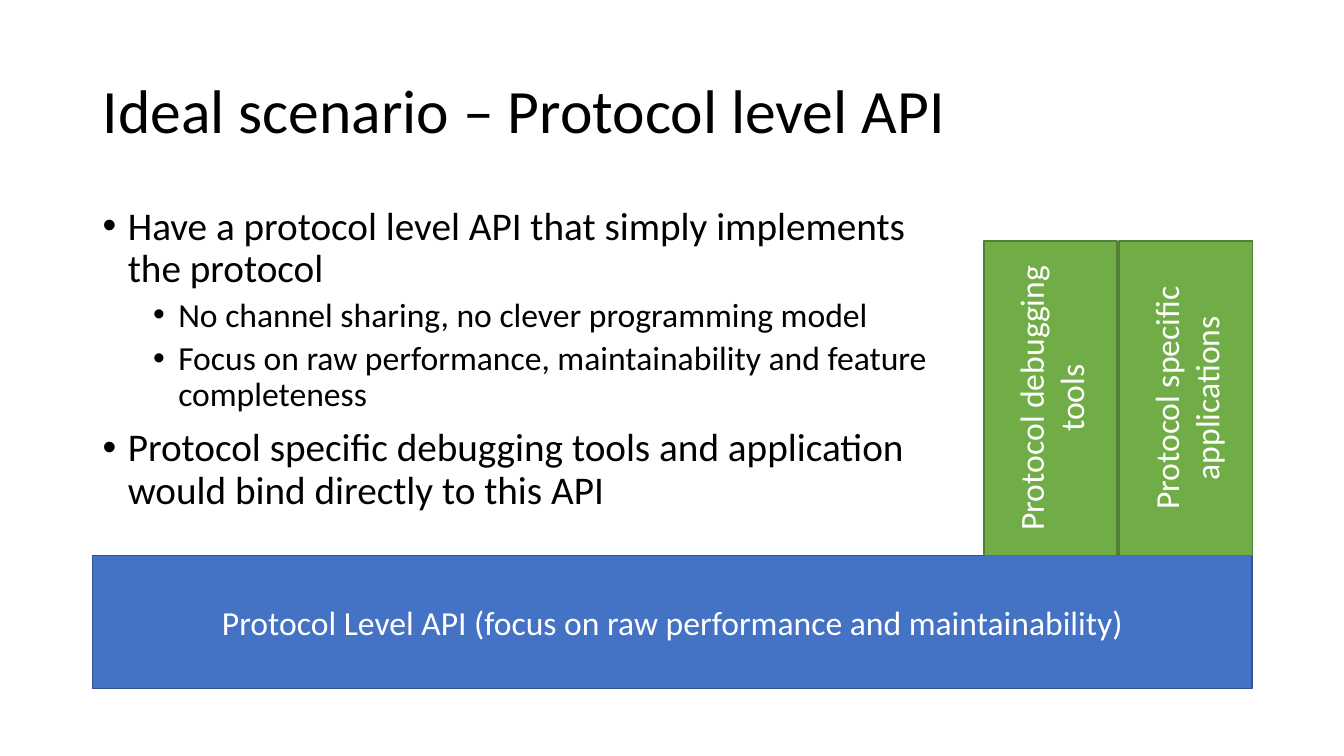
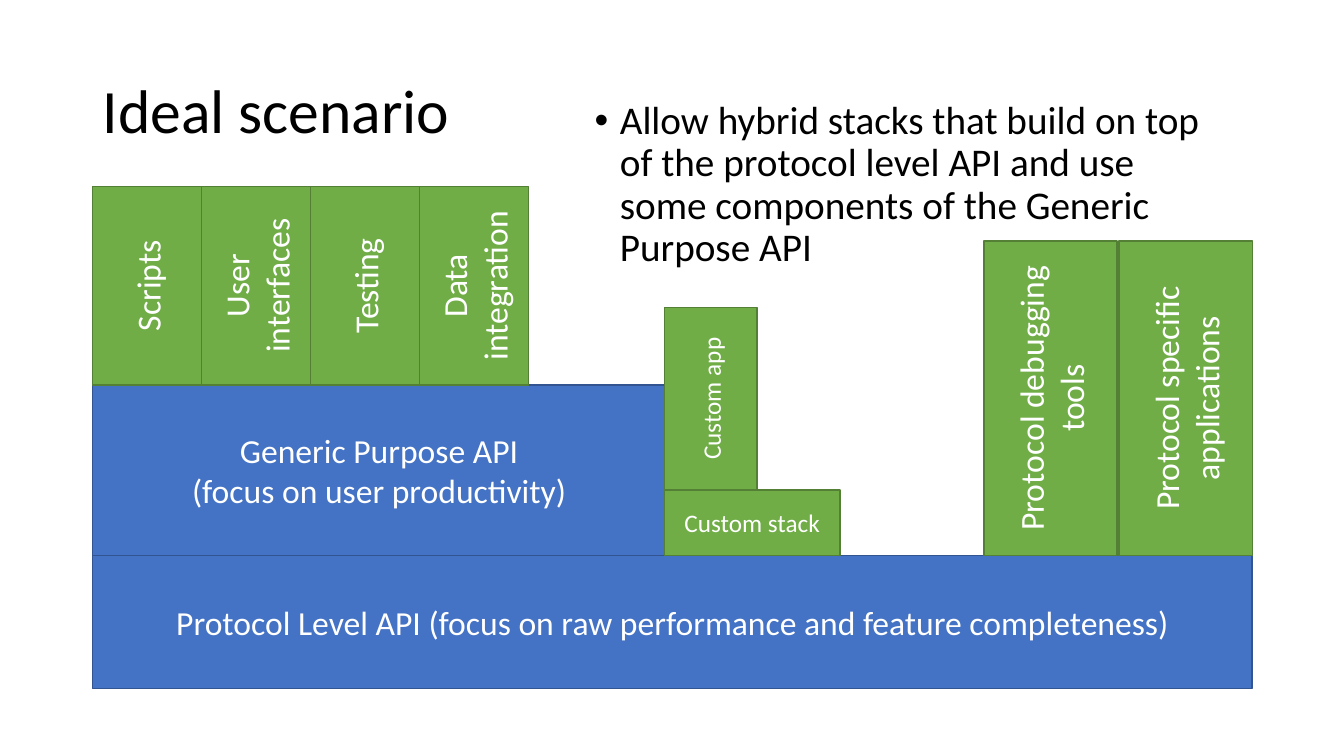
from lxml.etree import SubElement
from pptx import Presentation
from pptx.dml.color import RGBColor
from pptx.enum.shapes import MSO_SHAPE
from pptx.enum.text import MSO_ANCHOR, MSO_AUTO_SIZE, PP_ALIGN
from pptx.oxml.ns import qn
from pptx.util import Emu, Pt

SCALE = 9144
LEFT, WIDE = 92, 1150
BASE = 551
BLUE = ("4472C4", "325491")
GREEN = ("70AD47", "538035")
BLACK, WHITE = "000000", "FFFFFF"
LEVELS = [
    {"size": 28, "before": 10, "margin": 25},
    {"size": 24, "before": 5, "margin": 75},
]
FRAME = {"word_wrap": True, "auto_size": MSO_AUTO_SIZE.NONE}
MIDDLE = {**FRAME, "vertical_anchor": MSO_ANCHOR.MIDDLE}
TITLE = {"alignment": PP_ALIGN.LEFT, "line_spacing": 0.9}
LABEL = {"alignment": PP_ALIGN.CENTER}


def px(*nums):
    """Turn px lengths into EMU."""
    return [Emu(num * SCALE) for num in nums]


def color(code):
    """Turn a hex string into a colour."""
    return RGBColor.from_string(code)


def apply(target, values):
    """Set attributes from a dict."""
    for name, value in values.items():
        setattr(target, name, value)


def write(para, text, size, code, values):
    """Fill one paragraph with formatted text."""
    run = para.add_run()
    run.text = text
    apply(run.font, {"name": "Calibri", "size": Pt(size)})
    run.font.color.rgb = color(code)
    apply(para, values)


def fill(frame, lines):
    """Pair each line with its own paragraph."""
    for num, line in enumerate(lines):
        yield (frame.add_paragraph() if num else frame.paragraphs[0]), line


def head(slide, text):
    """Place and fill the slide title."""
    title = slide.shapes.title
    spot = px(LEFT, 40, WIDE, 145)
    apply(title, dict(zip(("left", "top", "width", "height"), spot)))
    apply(title.text_frame, MIDDLE)
    write(title.text_frame.paragraphs[0], text, 44, BLACK, TITLE)


def block(slide, text, box, tone, size=24, turn=False):
    """Draw a labelled block, its text turned upward on request."""
    shape = slide.shapes.add_shape(MSO_SHAPE.RECTANGLE, *px(*box))
    shape.shadow.inherit = False
    shape.fill.solid()
    shape.fill.fore_color.rgb = color(tone[0])
    shape.line.color.rgb = color(tone[1])
    shape.line.width = Pt(1)
    frame = shape.text_frame
    apply(frame, MIDDLE)
    if turn:
        shape.element.txBody.bodyPr.set("vert", "vert270")
    for para, line in fill(frame, text.split("\n")):
        write(para, line, size, WHITE, LABEL)


def row(slide, labels, left, top, width, height, step):
    """Stand equal green blocks side by side."""
    for num, text in enumerate(labels):
        box = (left + num * step, top, width, height)
        block(slide, text, box, GREEN, turn=True)


def bullets(slide, box, items):
    """Add a bulleted list of (level, text) items."""
    frame = slide.shapes.add_textbox(*px(*box)).text_frame
    apply(frame, FRAME)
    for para, (level, text) in fill(frame, items):
        style = LEVELS[level]
        write(para, text, style["size"], BLACK, {
            "level": level,
            "line_spacing": 0.9,
            "space_before": Pt(style["before"]),
        })
        props = para._p.get_or_add_pPr()
        margin, indent = px(style["margin"], -25)
        props.set("marL", str(margin))
        props.set("indent", str(indent))
        SubElement(props, qn("a:buFont"), typeface="Arial")
        SubElement(props, qn("a:buChar"), char="•")


def scene(deck, title, focus):
    """Start a slide with the title and protocol blocks."""
    slide = deck.slides.add_slide(deck.slide_layouts[5])
    head(slide, title)
    text = f"Protocol Level API (focus on raw performance and {focus})"
    block(slide, text, (LEFT, BASE, WIDE, 132), BLUE)
    tools = ["Protocol debugging tools", "Protocol specific applications"]
    row(slide, tools, 976, 239, 132, 312, 134)
    return slide


def direct(deck):
    """Build the protocol level slide."""
    slide = scene(deck, "Ideal scenario – Protocol level API", "maintainability")
    bullets(slide, (LEFT, 200, 854, 334), [
        (0, "Have a protocol level API that simply implements the protocol"),
        (1, "No channel sharing, no clever programming model"),
        (1, "Focus on raw performance, maintainability and feature completeness"),
        (0, "Protocol specific debugging tools and application would bind "
            "directly to this API"),
    ])


def hybrid(deck):
    """Build the hybrid stack slide."""
    slide = scene(deck, "Ideal scenario", "feature completeness")
    block(slide, "Generic Purpose API\n(focus on user productivity)",
          (LEFT, 382, 568, 169), BLUE)
    users = ["Scripts", "User interfaces", "Testing", "Data integration"]
    row(slide, users, LEFT, 185, 108, 197, 108)
    block(slide, "Custom stack", (659, 486, 174, 65), GREEN, 18)
    block(slide, "Custom app", (659, 305, 92, 181), GREEN, 18, True)
    bullets(slide, (580, 95, 636, 197), [
        (0, "Allow hybrid stacks that build on top of the protocol level API "
            "and use some components of the Generic Purpose API"),
    ])


def main():
    """Build and save the deck."""
    deck = Presentation()
    deck.slide_width, deck.slide_height = px(1333, 750)
    direct(deck)
    hybrid(deck)
    deck.save("out.pptx")


if __name__ == "__main__":
    main()
